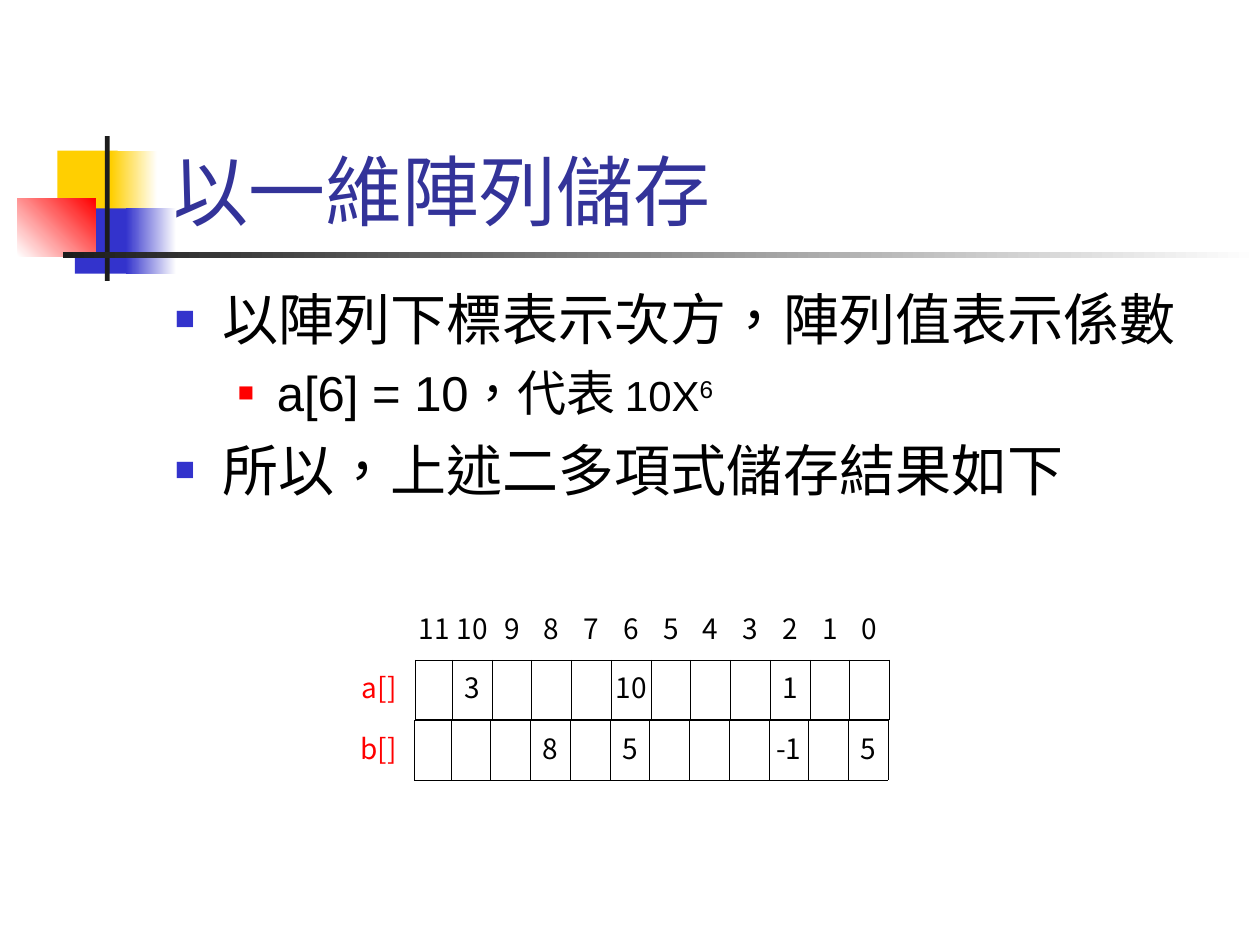
from lxml.etree import SubElement
from pptx import Presentation
from pptx.dml.color import RGBColor
from pptx.enum.shapes import MSO_SHAPE
from pptx.enum.text import MSO_ANCHOR, MSO_AUTO_SIZE, PP_ALIGN
from pptx.oxml.ns import qn
from pptx.util import Inches, Pt

HUES = {"gold": "FFCF01", "blue": "3333CC", "red": "FF0000", "dark": "1C1C1C",
        "navy": "333399", "black": "000000", "white": "FFFFFF"}
LATIN, ASIAN = "Arial", "Noto Sans CJK TC"
SIDES = {"left": "a:lnL", "right": "a:lnR", "top": "a:lnT", "bottom": "a:lnB"}
SIZE = 12  # array slots


def rgb(hue):
    return RGBColor.from_string(HUES[hue])


def inches(box):
    return [Inches(n) for n in box]


def assign(item, form):
    for key, value in form.items():
        setattr(item, key, value)


def write(para, text, size, hue="black", face=LATIN):
    run = para.add_run()
    run.text = text
    assign(run.font, {"name": face, "size": Pt(size), "bold": False})
    run.font.color.rgb = rgb(hue)
    props = run.font._element if hasattr(run.font, "_element") else run._r.get_or_add_rPr()
    props.set("lang", "zh-TW")
    SubElement(props, qn("a:ea"), typeface=ASIAN)
    return run


# Coloured blocks: shares of the box, first hue, second hue, angle
def blocks(slide, box, parts):
    left, top, wide, high = box
    for (x, y, w, h), start, end, angle in parts:
        spot = inches((left + x * wide, top + y * high, w * wide, h * high))
        block = slide.shapes.add_shape(MSO_SHAPE.RECTANGLE, *spot)
        block.shadow.inherit = False
        block.line.fill.background()
        if end is None:
            block.fill.solid()
            block.fill.fore_color.rgb = rgb(start)
            continue
        block.fill.gradient()
        block.fill.gradient_angle = angle
        for stop, hue, place in zip(block.fill.gradient_stops, (start, end), (0, 1)):
            stop.color.rgb = rgb(hue)
            stop.position = place


def title(slide, box, text):
    head = slide.shapes.title
    assign(head, dict(zip(("left", "top", "width", "height"), inches(box))))
    assign(head.text_frame, {"auto_size": MSO_AUTO_SIZE.NONE, "word_wrap": True,
                             "vertical_anchor": MSO_ANCHOR.BOTTOM})
    para = head.text_frame.paragraphs[0]
    para.alignment = PP_ALIGN.LEFT
    write(para, text, 44, "navy")


# Bulleted text: margin, hang, space before, bullet hue and size by level
LEVELS = [(0.38, 0.38, 8, "blue", 60), (0.81, 0.31, 6, "red", 55)]


def body(slide, box, items):
    frame = slide.shapes.add_textbox(*inches(box)).text_frame
    frame.word_wrap = True
    for i, (level, runs) in enumerate(items):
        para = frame.add_paragraph() if i else frame.paragraphs[0]
        margin, hang, gap, hue, share = LEVELS[level]
        assign(para, {"level": level, "space_before": Pt(gap)})
        props = para._p.get_or_add_pPr()
        props.set("marL", str(Inches(margin)))
        props.set("indent", str(-Inches(hang)))
        SubElement(SubElement(props, qn("a:buClr")), qn("a:srgbClr"), val=HUES[hue])
        SubElement(props, qn("a:buSzPct"), val=str(share * 1000))
        SubElement(props, qn("a:buFont"), typeface=LATIN)
        SubElement(props, qn("a:buChar"), char="■")
        for text, size, raised in runs:
            run = write(para, text, size)
            if raised:
                run._r.get_or_add_rPr().set("baseline", "30000")


def border(cell, drawn):
    props = cell._tc.get_or_add_tcPr()
    for side, tag in SIDES.items():
        line = SubElement(props, qn(tag), w=str(Pt(0.45)))
        if side in drawn:
            SubElement(SubElement(line, qn("a:solidFill")), qn("a:srgbClr"), val=HUES["black"])
        else:
            SubElement(line, qn("a:noFill"))


# Array table: label column, one narrow slot, then equal slots
def array(slide, box, rows, label, first):
    grid = slide.shapes.add_table(len(rows), SIZE + 1, *inches(box)).table
    assign(grid, {"first_row": False, "horz_banding": False})
    rest = (box[2] - label - first) / (SIZE - 1)
    for col, wide in zip(grid.columns, [label, first] + [rest] * (SIZE - 1)):
        col.width = Inches(wide)
    for r, (name, values) in enumerate(rows):
        grid.rows[r].height = Inches(box[3] / len(rows))
        for c in range(SIZE + 1):
            cell = grid.cell(r, c)
            assign(cell, {"margin_left": Inches(0.02), "margin_right": Inches(0.02)})
            text = values.get(SIZE - c, "") if c else name
            if text:
                para = cell.text_frame.paragraphs[0]
                assign(para, {"alignment": PP_ALIGN.CENTER, "space_before": Pt(2),
                              "space_after": Pt(2)})
                write(para, text, 16, "black" if c else "red", ASIAN)
            # Borders come before the fill in a cell's properties
            if name:
                border(cell, SIDES if c else ["right"])
            else:
                border(cell, ["bottom"] if c else [])
            cell.fill.background()


def main():
    deck = Presentation()
    assign(deck, {"slide_width": Inches(10), "slide_height": Inches(7.5)})
    slide = deck.slides.add_slide(deck.slide_layouts[5])

    # Corner badge and rule
    blocks(slide, (0.14, 1.08, 1.26, 1.15), [
        ((0.25, 0.1, 0.38, 0.45), "gold", None, 0),
        ((0.59, 0.1, 0.29, 0.45), "gold", "white", 0),
        ((0.36, 0.5, 0.37, 0.45), "blue", None, 0),
        ((0.68, 0.5, 0.32, 0.45), "blue", "white", 0),
        ((0, 0.43, 0.49, 0.4), "white", "red", 45),
        ((0.55, 0, 0.03, 1), "dark", None, 0)])
    blocks(slide, (0.5, 2, 9.5, 0.05), [((0, 0, 1, 1), "dark", "white", 0)])

    # Text
    title(slide, (1.26, 0.67, 8.52, 1.25), "以一維陣列儲存")
    body(slide, (1.29, 2.21, 8.5, 2.1), [
        (0, [("以陣列下標表示次方，陣列值表示係數", 32, False)]),
        (1, [("a[6] = 10，代表", 28, False), (" 10X", 24, False), ("6", 24, True)]),
        (0, [("所以，上述二多項式儲存結果如下", 32, False)])])

    # Arrays, keyed by exponent
    powers = {n: str(n) for n in range(SIZE)}
    array(slide, (2.72, 4.77, 4.34, 0.94),
          [("", powers), ("a[]", {10: "3", 6: "10", 2: "1"})], 0.58, 0.29)
    array(slide, (2.72, 5.72, 4.33, 0.47),
          [("b[]", {8: "8", 6: "5", 2: "-1", 0: "5"})], 0.57, 0.29)
    deck.save("out.pptx")


if __name__ == "__main__":
    main()
